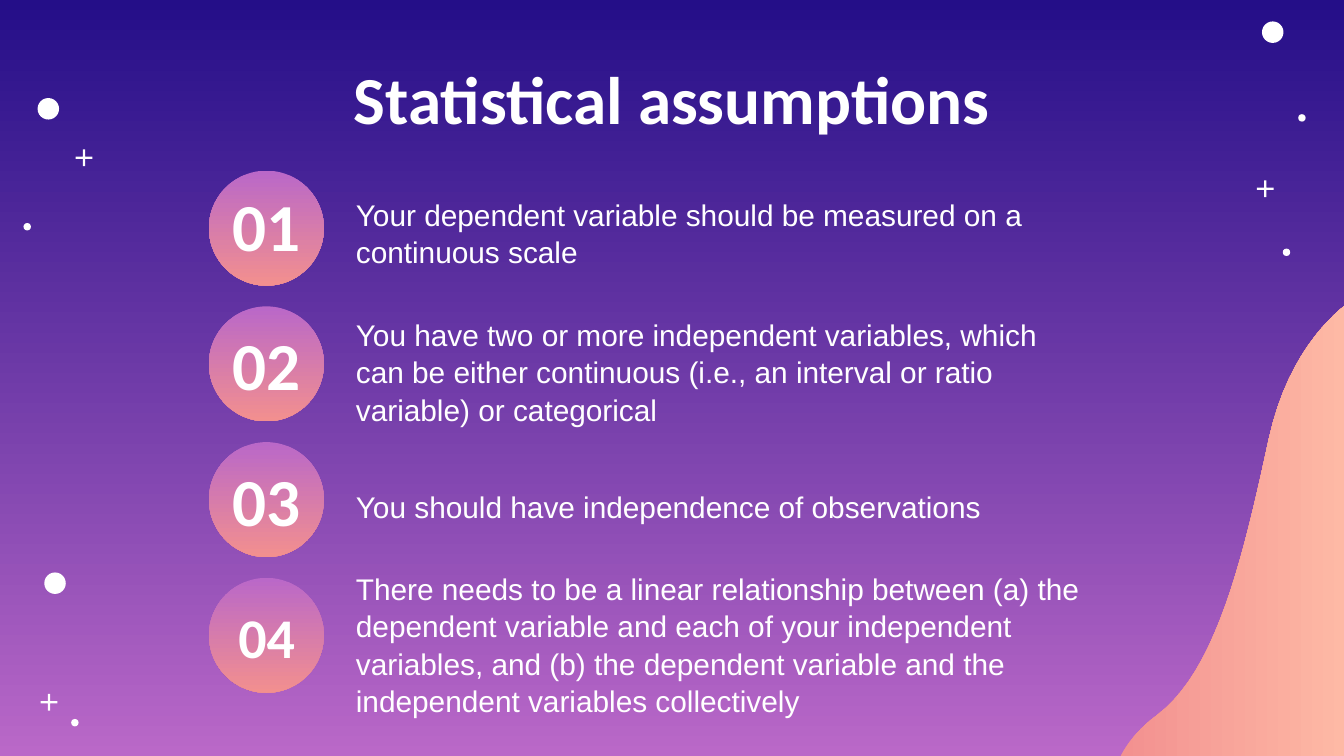
"""Build the slide on statistical assumptions, on a grid 100 columns wide with square cells."""
from pptx import Presentation, util as u
from pptx.dml import color
from pptx.enum import shapes, text as t

deck = Presentation()
deck.slide_width, deck.slide_height = u.Inches(10), u.Inches(5.625)
cell = deck.slide_width / 100
slide = deck.slides.add_slide(deck.slide_layouts[6])
kit = slide.shapes


def paint(fill, *hues, angle=270):
    tones = [color.RGBColor.from_string(hue) for hue in hues]
    if len(tones) == 1:
        fill.solid()
        fill.fore_color.rgb = tones[0]
        return
    fill.gradient()
    fill.gradient_angle = angle
    for place, (stop, tone) in enumerate(zip(fill.gradient_stops, tones)):
        stop.color.rgb = tone
        stop.position = place


def write(words, x, y, w, h, size=16, face="Arial", bold=False, align="LEFT", anchor="TOP", gap=1.0):
    box = kit.add_textbox(*[round(n * cell) for n in (x, y, w, h)])
    frame = box.text_frame
    frame.word_wrap = True
    frame.vertical_anchor = t.MSO_ANCHOR[anchor]
    for side in ("left", "right", "top", "bottom"):
        setattr(frame, "margin_" + side, round(cell))
    para = frame.paragraphs[0]
    para.alignment = t.PP_ALIGN[align]
    para.line_spacing = gap
    run = para.add_run()
    run.text = words
    run.font.size, run.font.name, run.font.bold = u.Pt(size), face, bold
    paint(run.font.fill, "FFFFFF")


paint(slide.background.fill, "240E88", "BA68C8")

start = (82.6, 59.4)
curves = [
    [(82.6, 58), (83.1, 55.4), (86.1, 53.2)],
    [(90.5, 49.9), (92.5, 41.5), (94.4, 32.7)],
    [(96.3, 24), (101.8, 21.6), (101.8, 21.6)],
]
steps = 20
dots, last = [], start
for one, two, end in curves:
    for step in range(1, steps + 1):
        s = step / steps
        mix = ((1 - s) ** 3, 3 * s * (1 - s) ** 2, 3 * s * s * (1 - s), s ** 3)
        dots.append(tuple(sum(m * p for m, p in zip(mix, axis)) for axis in zip(last, one, two, end)))
    last = end
path = kit.build_freeform(*[round(n * cell) for n in start])
path.add_line_segments([(round(x * cell), round(y * cell)) for x, y in dots + [(101.5, 59.9), (82.7, 60.4)]])
wave = path.convert_to_shape()
paint(wave.fill, "F28F8F", "FFBDA7", angle=0)
wave.line.fill.background()
wave.shadow.inherit = False

disc, plus = shapes.MSO_SHAPE.OVAL, shapes.MSO_SHAPE.MATH_PLUS
marks = [
    (disc, 1.6, [(3.3, 42.6), (2.8, 7.3), (93.9, 1.6)]),
    (disc, 0.55, [(1.75, 16.6), (95.45, 18.5), (5.3, 53.5), (96.6, 8.5)]),
    (plus, 1.7, [(93.3, 13.2), (5.4, 10.9), (2.8, 51.4)]),
    (disc, 8.55, [(15.55, 12.7 + 10.1 * row) for row in range(4)]),
]
for kind, size, spots in marks:
    for x, y in spots:
        mark = kit.add_shape(kind, *[round(n * cell) for n in (x, y, size, size)])
        mark.line.fill.background()
        mark.shadow.inherit = False
        paint(mark.fill, *(["BA68C8", "F28F8F"] if size > 5 else ["FFFFFF"]))
        if kind == plus:
            mark.adjustments[0] = 0.1

head = dict(face="Calibri", bold=True, align="CENTER", anchor="MIDDLE")
write("Statistical assumptions", 7.8, 4.4, 84.4, 5.7, size=36, **head)

points = [
    ("01", 13.9, 36, 13.5, "Your dependent variable should be measured on a continuous scale"),
    ("02", 24.2, 36, 22.4, "You have two or more independent variables, which can be either continuous (i.e., an interval or ratio variable) or categorical"),
    ("03", 34.3, 36, 35.2, "You should have independence of observations"),
    ("04", 44.5, 30, 41.3, "There needs to be a linear relationship between (a) the dependent variable and each of your independent variables, and (b) the dependent variable and the independent variables collectively"),
]
for label, high, size, top, words in points:
    write(label, 14.1, high, 11.5, 5.7, size=size, **head)
    write(words, 25.5, top, 56.6, 6.7, gap=1.05)

deck.save("out.pptx")
